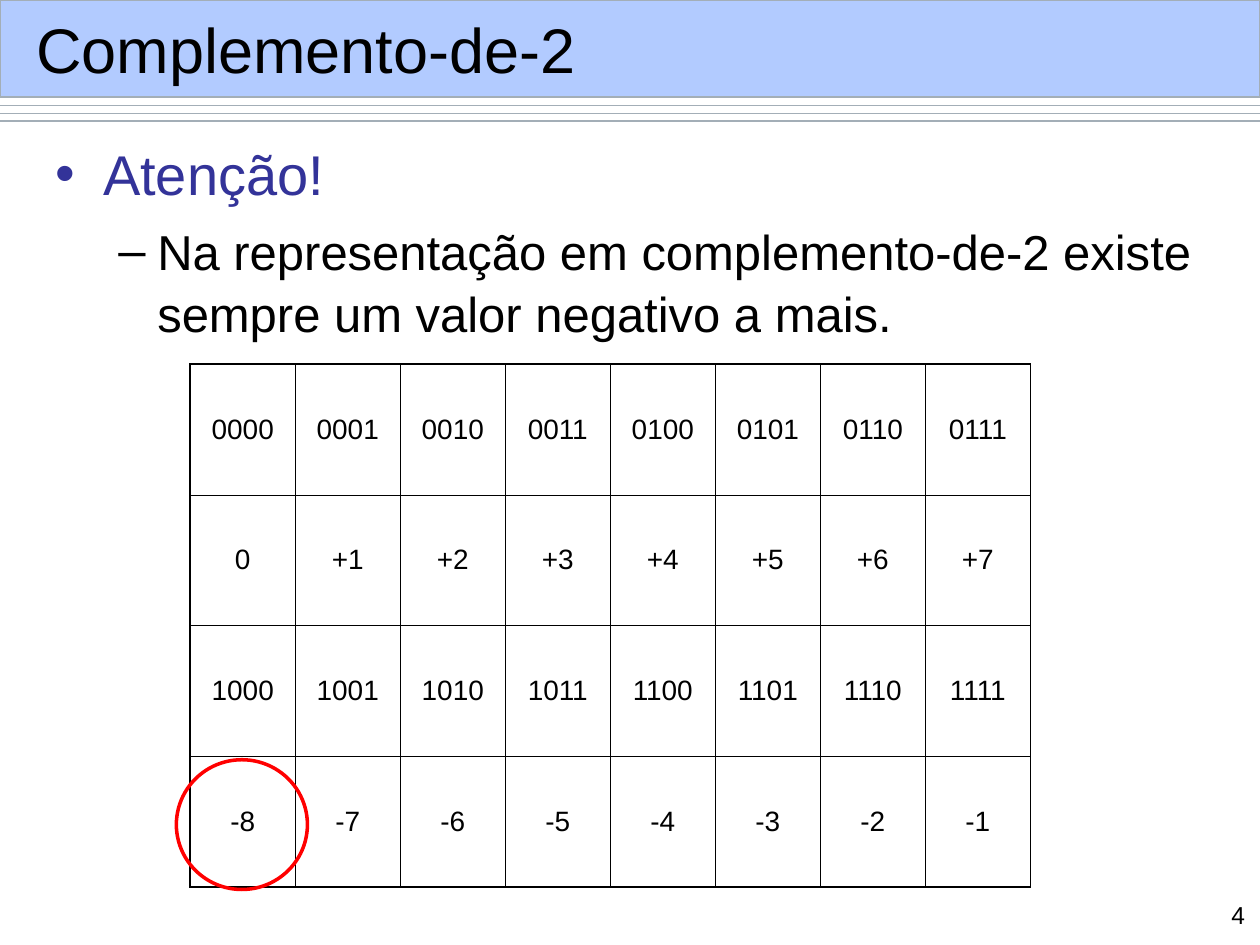
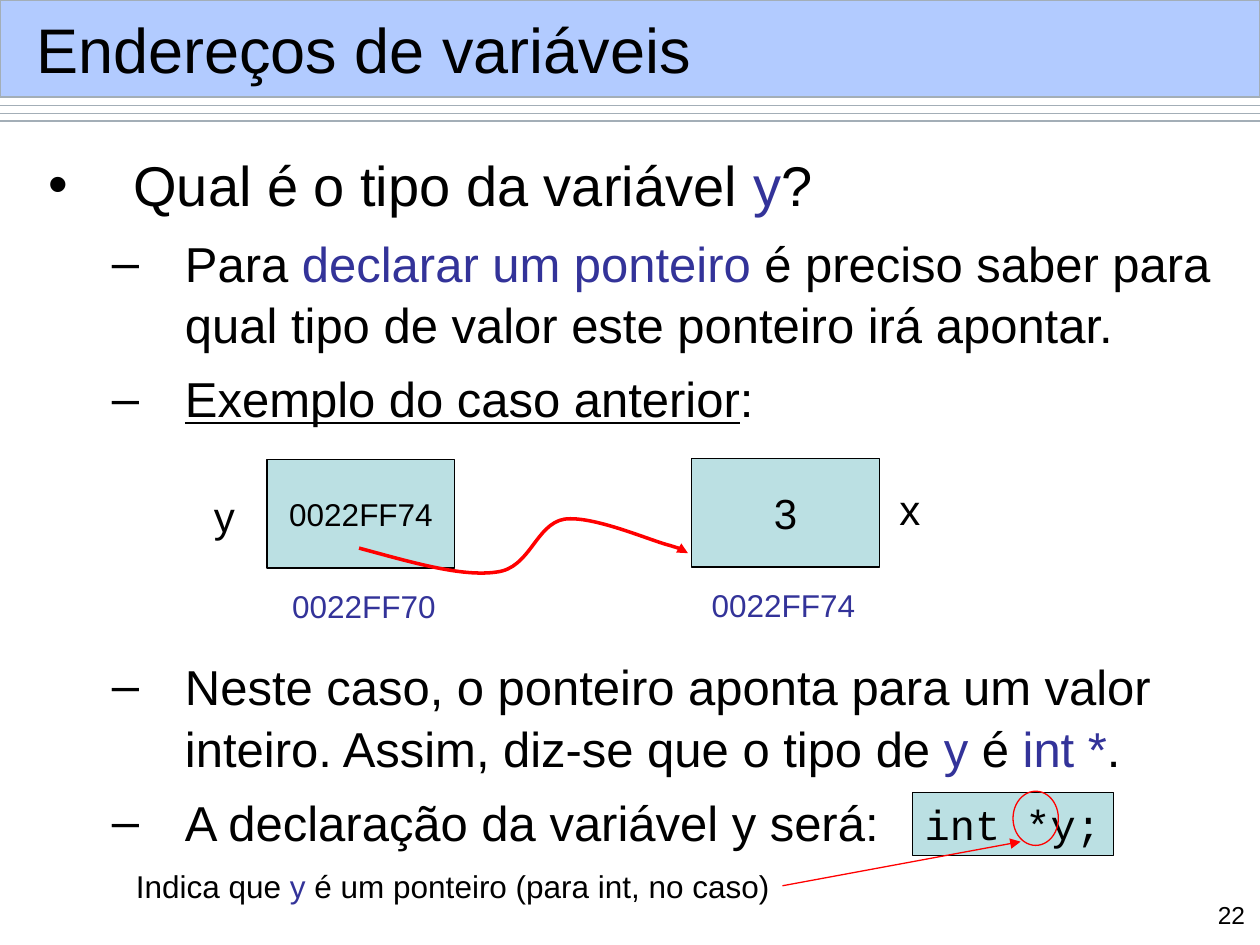
from pptx import Presentation, util as u
from pptx.dml.color import RGBColor
from pptx.enum import shapes as es, text as et
from pptx.oxml.ns import qn
from lxml import etree

ink = {"text": "000000", "mark": "333399", "band": "6699FF", "rule": "A3AEB7",
       "box": "BBE0E3", "red": "FF0000"}
rgb = {name: RGBColor.from_string(code) for name, code in ink.items()}
left, mid, right = et.PP_ALIGN.LEFT, et.PP_ALIGN.CENTER, et.PP_ALIGN.RIGHT
rect, oval = es.MSO_SHAPE.RECTANGLE, es.MSO_SHAPE.OVAL
sans = "Arial"

deck = Presentation()
deck.slide_width, deck.slide_height = u.Inches(10), u.Inches(7.5)
col, row = deck.slide_width // 100, deck.slide_height // 75


def write(para, words, size, font=sans, align=left, under=False):
    para.alignment = align
    for i, part in enumerate(words.split("|")):
        if part:
            run = para.add_run()
            run.text = part
            look = {"name": font, "size": u.Pt(size), "underline": under and i % 2 == 1}
            for key, val in look.items():
                setattr(run.font, key, val)
            run.font.color.rgb = rgb["mark" if i % 2 and not under else "text"]


def add(page, kind, cell, fill=None, line=None, width=0.75, words="", size=18,
        font=sans, align=left, **form):
    x, y, w, h = (round(n * step) for n, step in zip(cell, (col, row, col, row)))
    if kind is None:
        item = page.shapes.add_textbox(x, y, w, h)
    else:
        item = page.shapes.add_shape(kind, x, y, w, h)
        item.shadow.inherit = False
        item.fill.background()
        if fill:
            item.fill.solid()
            item.fill.fore_color.rgb = rgb[fill]
        item.line.color.rgb = rgb[line]
        item.line.width = u.Pt(width)
    form = {"word_wrap": True, "vertical_anchor": et.MSO_ANCHOR.TOP, **form}
    for key, val in form.items():
        setattr(item.text_frame, key, val)
    if words:
        write(item.text_frame.paragraphs[0], words, size, font, align)
    return item


middle = {"vertical_anchor": et.MSO_ANCHOR.MIDDLE}
tight = {"word_wrap": False}
grow = {"word_wrap": False, "auto_size": et.MSO_AUTO_SIZE.SHAPE_TO_FIT_TEXT}

plans = [
    {"title": "Complemento-de-2", "num": "4", "cell": (3.4, 10.3, 93.1, 61.7),
     "dents": [(3.8, -3.8), (8.1, -3.1)], "dot": "mark",
     "body": [
         (0, "|Atenção!", {}),
         (1, "Na representação em complemento-de-2 existe sempre um valor negativo a mais.", {})]},
    {"title": "Endereços de variáveis", "num": "22", "cell": (2.9, 11.2, 94.6, 61.6),
     "dents": [(6.7, -6.7), (10.8, -5.8)], "dot": "text",
     "body": [
         (0, "Qual é o tipo da variável |y|?", {}),
         (1, "Para |declarar um ponteiro| é preciso saber para qual tipo de valor "
             "este ponteiro irá apontar.", {}),
         (1, "|Exemplo do caso anterior|:", {"under": True}),
         (1, "Neste caso, o ponteiro aponta para um valor inteiro. Assim, diz-se que "
             "o tipo de |y| é |int *|.", {"gap": 129}),
         (1, "A declaração da variável y será:", {})]},
]

pages, wires = [], []
for plan in plans:
    page = deck.slides.add_slide(deck.slide_layouts[6])
    pages.append(page)
    for y in (8.4, 9, 9.6):
        rule = page.shapes.add_connector(es.MSO_CONNECTOR.STRAIGHT, 0, round(y * row),
                                         100 * col, round(y * row))
        rule.line.color.rgb = rgb["rule"]
        wires.append(rule)
    band = add(page, rect, (0, 0, 100, 7.7), "band", "rule")
    tone = band._element.spPr.find(qn("a:solidFill"))[0]
    etree.SubElement(tone, qn("a:alpha"), val="50000")
    add(page, None, (1.9, 0.9, 96.4, 5.9), words=plan["title"], size=36, **middle)
    add(page, None, (90.7, 70.9, 9.1, 2.6), words=plan["num"], size=14, align=right)

    frame = add(page, None, plan["cell"]).text_frame
    for i, (level, words, extra) in enumerate(plan["body"]):
        para = frame.add_paragraph() if i else frame.paragraphs[0]
        write(para, words, (32, 28)[level], under=extra.get("under", False))
        form = {"level": level, "line_spacing": 1.05,
                "space_before": u.Pt(extra.get("gap", (8, 7)[level]))}
        for key, val in form.items():
            setattr(para, key, val)
        props = para._p.get_or_add_pPr()
        for key, val in zip(("marL", "indent"), plan["dents"][level]):
            props.set(key, str(round(val * col)))
        tint = etree.SubElement(props, qn("a:buClr"))
        etree.SubElement(tint, qn("a:srgbClr"), val=ink["text" if level else plan["dot"]])
        etree.SubElement(props, qn("a:buFont"), typeface=sans)
        etree.SubElement(props, qn("a:buChar"), char="•–"[level])

codes, signs = pages

rows = []
for start in (0, 8):
    rows.append([f"{n:04b}" for n in range(start, start + 8)])
    rows.append([f"{n - 2 * start:+d}" if n else "0" for n in range(start, start + 8)])
grid = codes.shapes.add_table(4, 8, round(15.1 * col), round(28.9 * row),
                              round(66.7 * col), round(41.5 * row)).table
for key in ("first_row", "horz_banding"):
    setattr(grid, key, False)
for r, line in enumerate(rows):
    for c, word in enumerate(line):
        cell = grid.cell(r, c)
        cell.vertical_anchor = et.MSO_ANCHOR.MIDDLE
        write(cell.text_frame.paragraphs[0], word, 16, align=mid)
        props = cell._tc.get_or_add_tcPr()
        for side, outer in (("L", c == 0), ("R", c == 7), ("T", r == 0), ("B", r == 3)):
            edge = etree.SubElement(props, qn("a:ln" + side),
                                    w=str(u.Pt(1.08 if outer else 0.45)))
            tint = etree.SubElement(edge, qn("a:solidFill"))
            etree.SubElement(tint, qn("a:srgbClr"), val=ink["text"])
        cell.fill.background()
add(codes, oval, (14, 60.3, 10.4, 10.3), line="red", width=2)

for cell, word, size in (((54.9, 36.4, 14.9, 8.6), "3", 24),
                         ((21.2, 36.5, 14.9, 8.6), "0022FF74", 18)):
    add(signs, rect, cell, "box", "text", words=word, size=size, align=mid, **middle, **tight)
for cell, word, size in (((55.5, 46, 13.4, 4), "|0022FF74", 18),
                         ((22.2, 46.1, 13.4, 4), "|0022FF70", 18),
                         ((70.4, 37.9, 3.6, 5), "x", 24),
                         ((16, 38.4, 3.6, 5), "y", 24)):
    add(signs, None, cell, words=word, size=size, **grow)

bends = [(28.5, 43.5), (32.6, 44.6), (36.6, 45.8), (39.4, 45.4), (42.1, 45.1),
         (42.5, 41.6), (44.8, 41.2), (47.1, 40.9), (51.6, 42.9), (53.2, 43.3),
         (54.8, 43.8), (54.7, 43.8), (54.6, 43.9)]
spots = [(round(x * col), round(y * row)) for x, y in bends]
pen = signs.shapes.build_freeform(*spots[0])
pen.add_line_segments(spots[1:], close=False)
curve = pen.convert_to_shape()
curve.shadow.inherit = False
curve.fill.background()
track = next(curve._element.iter(qn("a:path")))
steps = track.findall(qn("a:lnTo"))
for i in range(0, len(steps), 3):
    arc = etree.SubElement(track, qn("a:cubicBezTo"))
    for step in steps[i:i + 3]:
        arc.append(step[0])
        track.remove(step)

add(signs, rect, (72.4, 62.9, 16, 5), "box", "text", words="int *y;", size=24,
    font="Courier New", **grow)
add(signs, oval, (80.4, 62.8, 3.6, 4.3), line="red")
note = add(signs, None, (9.8, 68.3, 52.3, 4),
           words="Indica que |y |é um ponteiro (para int, no caso)", **grow)
arrow = signs.shapes.add_connector(es.MSO_CONNECTOR.STRAIGHT, round(62.1 * col),
                                   round(70.3 * row), 81 * col, round(66.8 * row))
arrow.begin_connect(note, 3)
wires.append(arrow)

for item, width in ((curve, 2), (arrow, 0.75)):
    item.line.color.rgb = rgb["red"]
    item.line.width = u.Pt(width)
    etree.SubElement(item._element.spPr.find(qn("a:ln")), qn("a:tailEnd"), type="triangle")
for wire in wires:
    wire.line.width = u.Pt(0.75)
    etree.SubElement(wire._element.spPr, qn("a:effectLst"))

deck.save("out.pptx")
